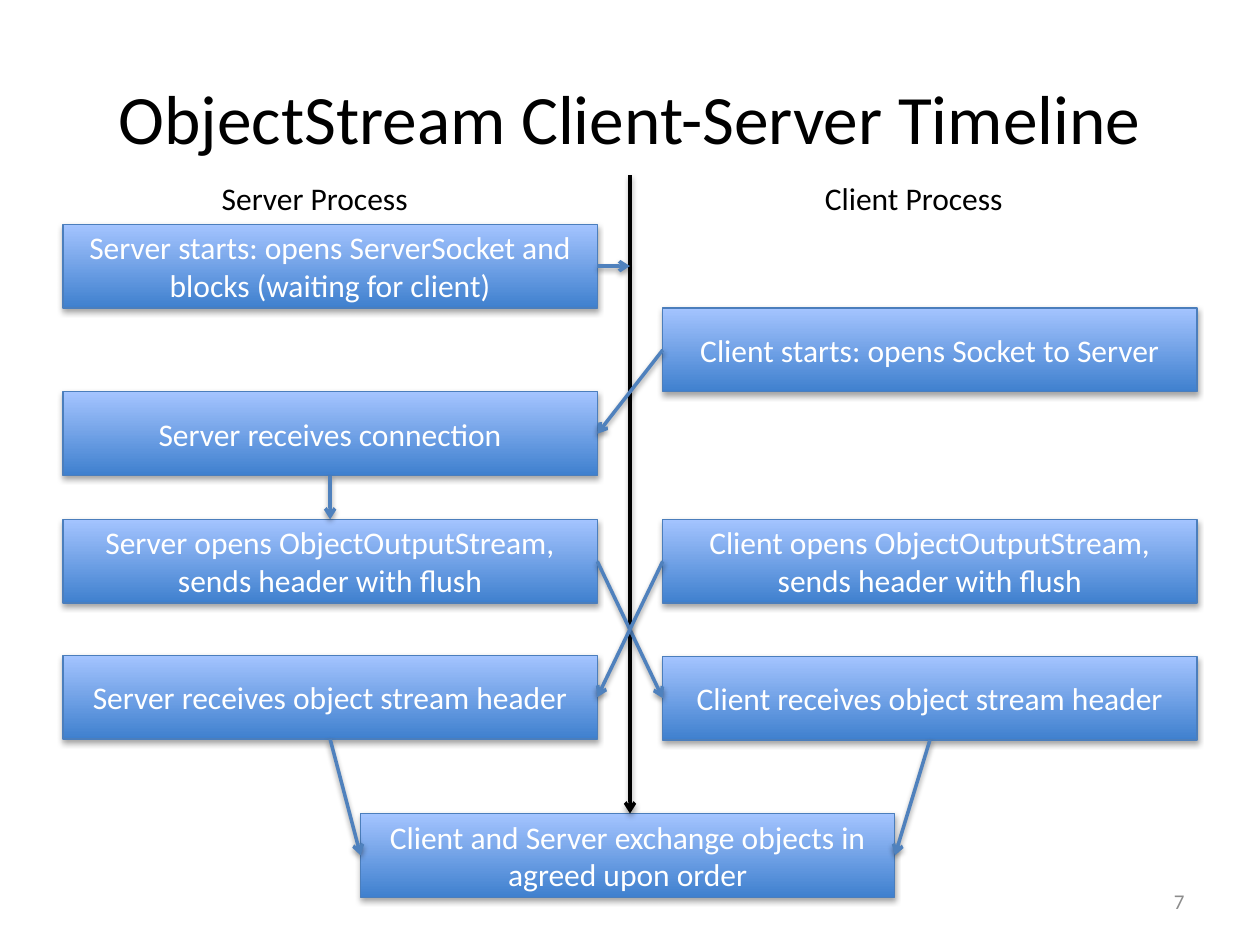
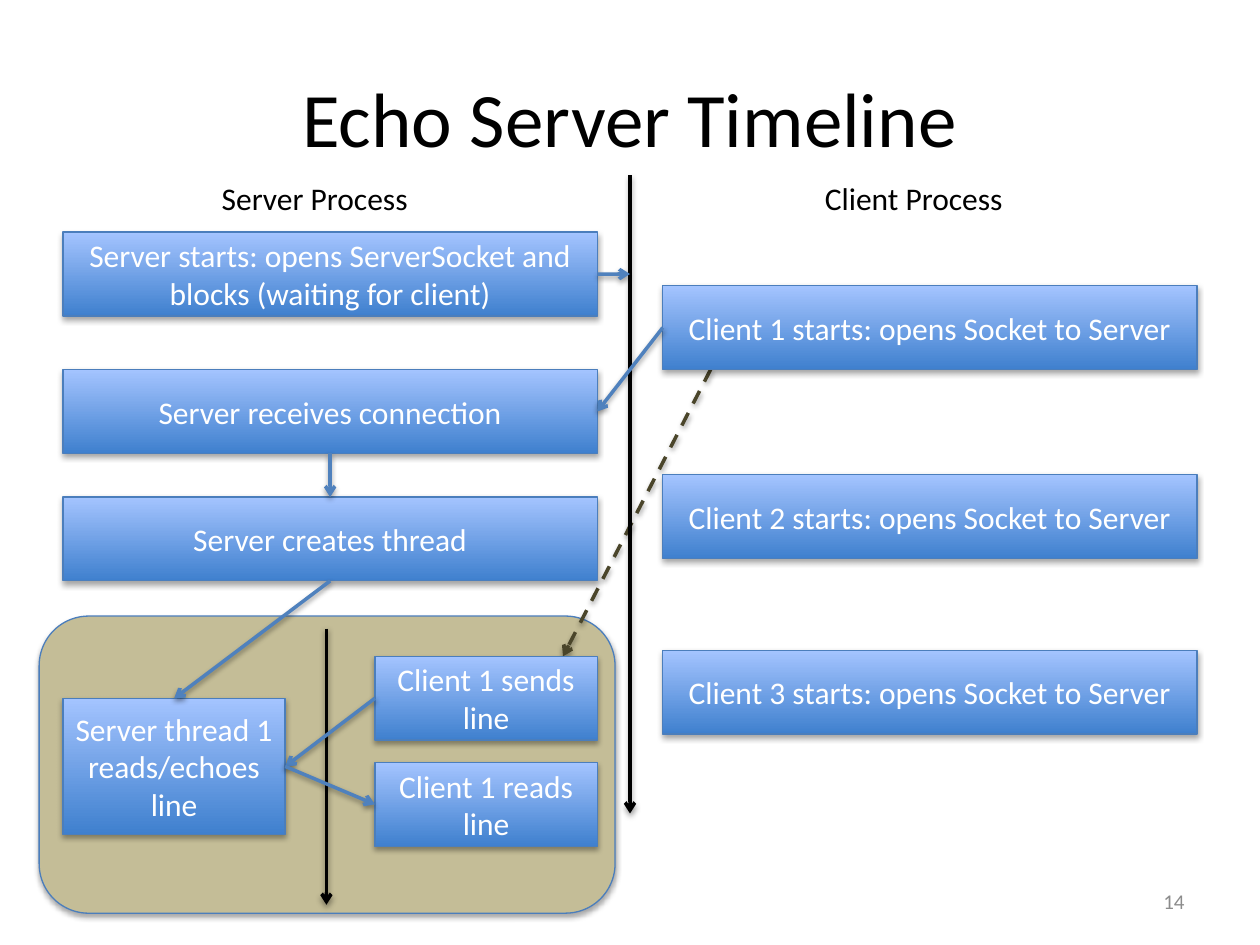
from dataclasses import dataclass

from lxml import etree
from pptx import Presentation, util as u
from pptx.dml.color import RGBColor
from pptx.enum import dml, shapes, text
from pptx.oxml.ns import qn

BLACK = RGBColor(0, 0, 0)
WHITE = RGBColor(255, 255, 255)
GREY = RGBColor(0x8C, 0x8C, 0x8C)
BLUE_DARK = RGBColor(0x3F, 0x80, 0xCE)
BLUE_LIGHT = RGBColor(0xA4, 0xC4, 0xFF)
BORDER = RGBColor(0x4B, 0x7E, 0xBC)
ARROW = RGBColor(0x4F, 0x81, 0xBD)
TAN = RGBColor(0xC4, 0xBD, 0x97)
OLIVE = RGBColor(0x4A, 0x45, 0x2A)

LEFT, MIDDLE, RIGHT = 1.27, 12.7, 13.36
WIDE, NARROW, HEIGHT = 10.77, 4.48, 1.69
INNER = LEFT + WIDE - NARROW
TOP_SITE, LEFT_SITE, BOTTOM_SITE, RIGHT_SITE = range(4)
CENTER, MID = text.PP_ALIGN.CENTER, text.MSO_ANCHOR.MIDDLE

FRAME = {
    "title": {"word_wrap": True, "vertical_anchor": MID},
    "number": {"word_wrap": True, "vertical_anchor": MID},
    "label": {"word_wrap": False, "vertical_anchor": text.MSO_ANCHOR.TOP},
    "box": {"word_wrap": True, "vertical_anchor": MID},
}
FONT = {
    "title": {"size": u.Pt(44)},
    "number": {"size": u.Pt(12)},
    "label": {"size": u.Pt(18)},
    "box": {"size": u.Pt(18)},
}
COLOR = {"title": BLACK, "number": GREY, "label": BLACK, "box": WHITE}
ALIGN = {"title": CENTER, "number": text.PP_ALIGN.RIGHT,
         "label": text.PP_ALIGN.LEFT, "box": CENTER}


@dataclass
class Box:
    name: str
    words: str
    x: float
    y: float
    w: float = WIDE
    h: float = HEIGHT


@dataclass
class Link:
    start: str
    start_site: int
    end: str
    end_site: int


@dataclass
class Timeline:
    title: str
    title_size: float
    number: str
    boxes: list[Box]
    links: list[Link]


def set_all(target, values: dict) -> None:
    for name, value in values.items():
        setattr(target, name, value)


def write(sp, words: str, kind: str, **font) -> None:
    tf = sp.text_frame
    set_all(tf, FRAME[kind])
    p = tf.paragraphs[0]
    p.alignment = ALIGN[kind]
    r = p.add_run()
    r.text = words
    set_all(r.font, {"name": "Calibri", **FONT[kind], **font})
    r.font.color.rgb = COLOR[kind]


def add_text(slide, words: str, kind: str, x: float, y: float,
             w: float, h: float, **font) -> None:
    sp = slide.shapes.add_textbox(u.Cm(x), u.Cm(y), u.Cm(w), u.Cm(h))
    write(sp, words, kind, **font)


def add_shadow(sp, dist: int, alpha: int) -> None:
    spPr = sp._element.spPr
    effects = spPr.find(qn("a:effectLst"))
    if effects is None:
        effects = etree.SubElement(spPr, qn("a:effectLst"))
    shadow = etree.SubElement(effects, qn("a:outerShdw"), blurRad="40000",
                              dist=str(dist), dir="5400000", rotWithShape="0")
    color = etree.SubElement(shadow, qn("a:srgbClr"), val=str(BLACK))
    etree.SubElement(color, qn("a:alpha"), val=str(alpha))


def add_panel(parent, kind, x: float, y: float, w: float, h: float):
    sp = parent.add_shape(kind, u.Cm(x), u.Cm(y), u.Cm(w), u.Cm(h))
    sp.line.color.rgb = BORDER
    sp.line.width = u.Pt(0.75)
    sp.shadow.inherit = False
    add_shadow(sp, 23000, 35000)
    return sp


def add_box(slide, box: Box):
    sp = add_panel(slide.shapes, shapes.MSO_SHAPE.RECTANGLE,
                   box.x, box.y, box.w, box.h)
    sp.fill.gradient()
    sp.fill.gradient_angle = 90
    for stop, color in zip(sp.fill.gradient_stops, (BLUE_DARK, BLUE_LIGHT)):
        stop.color.rgb = color
    write(sp, box.words, "box")
    return sp


def add_arrow(parent, x1: float, y1: float, x2: float, y2: float,
              color: RGBColor = ARROW, dash=None):
    c = parent.add_connector(shapes.MSO_CONNECTOR.STRAIGHT,
                             u.Cm(x1), u.Cm(y1), u.Cm(x2), u.Cm(y2))
    c.line.color.rgb = color
    set_all(c.line, {"width": u.Pt(2), "dash_style": dash})
    ln = c._element.spPr.find(qn("a:ln"))
    etree.SubElement(ln, qn("a:tailEnd"), type="arrow")
    add_shadow(c, 20000, 38000)
    return c


def add_thread_area(slide) -> None:
    group = slide.shapes.add_group_shape().shapes
    sp = add_panel(group, shapes.MSO_SHAPE.ROUNDED_RECTANGLE,
                   0.79, 12.42, 11.61, 5.99)
    sp.fill.solid()
    sp.fill.fore_color.rgb = TAN
    add_arrow(group, 6.58, 12.67, 6.58, 18.24, BLACK)
    add_arrow(group, 14.33, 7.44, 11.35, 13.23, OLIVE, dml.MSO_LINE.DASH)


def add_timeline(slide, t: Timeline) -> None:
    add_text(slide, t.title, "title", LEFT, 0.76, 22.86, 3.18,
             size=u.Pt(t.title_size))
    add_text(slide, t.number, "number", 18.2, 17.66, 5.93, 1.01)
    sps = {box.name: add_box(slide, box) for box in t.boxes}
    add_arrow(slide.shapes, MIDDLE, 3.53, MIDDLE, 16.4, BLACK)
    first = t.boxes[0]
    y = first.y + first.h / 2
    wait = add_arrow(slide.shapes, first.x + first.w, y, MIDDLE, y)
    wait.begin_connect(sps[first.name], RIGHT_SITE)
    for link in t.links:
        c = add_arrow(slide.shapes, 0, 0, 1, 1)
        c.begin_connect(sps[link.start], link.start_site)
        c.end_connect(sps[link.end], link.end_site)
    add_text(slide, "Server Process", "label", 4.22, 3.48, 4.32, 1.03)
    add_text(slide, "Client Process", "label", 16.38, 3.48, 4.14, 1.03)


STARTS = "Server starts: opens ServerSocket and blocks (waiting for client)"
RECEIVES = "Server receives connection"
OPENS = "{} opens ObjectOutputStream, sends header with flush"
HEADER = "{} receives object stream header"
CLIENT = "Client {} starts: opens Socket to Server"

OBJECT_STREAM = Timeline(
    "ObjectStream Client-Server Timeline", 39.6, "7",
    [
        Box("start", STARTS, LEFT, 4.52),
        Box("client", "Client starts: opens Socket to Server", RIGHT, 6.21),
        Box("receive", RECEIVES, LEFT, 7.9),
        Box("server_open", OPENS.format("Server"), LEFT, 10.47),
        Box("client_open", OPENS.format("Client"), RIGHT, 10.47),
        Box("server_header", HEADER.format("Server"), LEFT, 13.21),
        Box("client_header", HEADER.format("Client"), RIGHT, 13.23),
        Box("exchange",
            "Client and Server exchange objects in agreed upon order",
            7.27, 16.4),
    ],
    [
        Link("client", LEFT_SITE, "receive", RIGHT_SITE),
        Link("receive", BOTTOM_SITE, "server_open", TOP_SITE),
        Link("server_open", RIGHT_SITE, "client_header", LEFT_SITE),
        Link("client_open", LEFT_SITE, "server_header", RIGHT_SITE),
        Link("server_header", BOTTOM_SITE, "exchange", LEFT_SITE),
        Link("client_header", BOTTOM_SITE, "exchange", RIGHT_SITE),
    ],
)

ECHO = Timeline(
    "Echo Server Timeline", 44, "14",
    [
        Box("start", STARTS, LEFT, 4.68),
        Box("client1", CLIENT.format(1), RIGHT, 5.76),
        Box("receive", RECEIVES, LEFT, 7.45),
        Box("create", "Server creates thread", LEFT, 10.02),
        Box("send", "Client 1 sends line", INNER, 13.23, NARROW),
        Box("thread", "Server thread 1 reads/echoes line",
            LEFT, 14.08, NARROW, 2.74),
        Box("read", "Client 1 reads line", INNER, 15.37, NARROW),
        Box("client2", CLIENT.format(2), RIGHT, 9.57),
        Box("client3", CLIENT.format(3), RIGHT, 13.11),
    ],
    [
        Link("client1", LEFT_SITE, "receive", RIGHT_SITE),
        Link("receive", BOTTOM_SITE, "create", TOP_SITE),
        Link("send", LEFT_SITE, "thread", RIGHT_SITE),
        Link("thread", RIGHT_SITE, "read", LEFT_SITE),
        Link("create", BOTTOM_SITE, "thread", TOP_SITE),
    ],
)

prs = Presentation()
prs.slide_width, prs.slide_height = u.Cm(25.4), u.Cm(19.05)
blank = prs.slide_layouts[6]

add_timeline(prs.slides.add_slide(blank), OBJECT_STREAM)

echo_slide = prs.slides.add_slide(blank)
add_thread_area(echo_slide)
add_timeline(echo_slide, ECHO)

prs.save("out.pptx")
